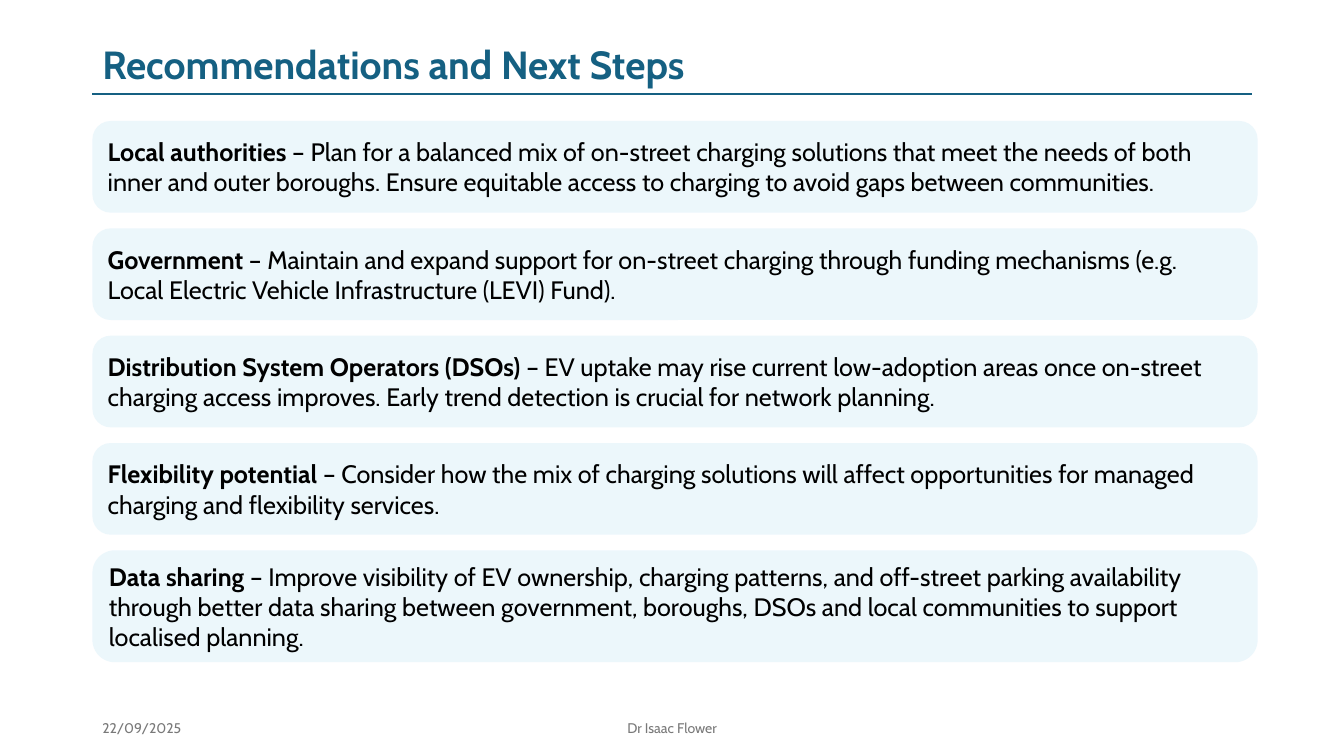
from dataclasses import dataclass

from lxml import etree
from pptx import Presentation
from pptx import util as u
from pptx.dml import color as clr
from pptx.enum import shapes, text
from pptx.oxml import ns

HUES = {"title": "156082", "card": "C1E5F5", "body": "000000", "foot": "797979"}
FONT = "Cabin"
WIDE, HIGH = u.Inches(13.33), u.Inches(7.5)
COLS, ROWS = 160, 90
LEFT, TOP, GAP = 11, 14.4, 1.86


@dataclass
class Box:
    col: float
    row: float
    cols: float
    rows: float


@dataclass
class Card:
    head: str
    body: str
    rows: float = 10.92


CARDS = [
    Card("Local authorities ", "– Plan for a balanced mix of on-street charging solutions that meet the "
         "needs of both inner and outer boroughs. Ensure equitable access to charging to avoid gaps "
         "between communities."),
    Card("Government ", "– Maintain and expand support for on-street charging through funding "
         "mechanisms (e.g. Local Electric Vehicle Infrastructure (LEVI) Fund)."),
    Card("Distribution System Operators (DSOs) ", "– EV uptake may rise current low-adoption areas "
         "once on-street charging access improves. Early trend detection is crucial for network planning."),
    Card("Flexibility potential ", "– Consider how the mix of charging solutions will affect "
         "opportunities for managed charging and flexibility services."),
    Card("Data sharing ", "– Improve visibility of EV ownership, charging patterns, and off-street "
         "parking availability through better data sharing between government, boroughs, DSOs and "
         "local communities to support localised planning.", 13.32),
]


def across(cols: float) -> int:
    return int(WIDE * cols / COLS)


def down(rows: float) -> int:
    return int(HIGH * rows / ROWS)


def place(box: Box) -> tuple[int, int, int, int]:
    return across(box.col), down(box.row), across(box.cols), down(box.rows)


def tint(hue: str) -> clr.RGBColor:
    return clr.RGBColor.from_string(HUES[hue])


def write(para, words: str, *, size: float, hue: str, bold: bool = False) -> None:
    run = para.add_run()
    run.text = words
    run.font.name = FONT
    run.font.size = u.Pt(size)
    run.font.bold = bold
    run.font.color.rgb = tint(hue)


def setup(frame, align=text.PP_ALIGN.LEFT):
    frame.word_wrap = True
    frame.vertical_anchor = text.MSO_ANCHOR.MIDDLE
    para = frame.paragraphs[0]
    para.alignment = align
    return para


def label(slide, box: Box, words: str, align=text.PP_ALIGN.LEFT, space: float = 1.0, **form) -> None:
    para = setup(slide.shapes.add_textbox(*place(box)).text_frame, align)
    para.line_spacing = space
    write(para, words, **form)


def rule(slide, col: float, row: float, cols: float) -> None:
    line = slide.shapes.add_connector(
        shapes.MSO_CONNECTOR.STRAIGHT, across(col), down(row), across(col + cols), down(row))
    line.line.color.rgb = tint("title")
    line.line.width = u.Pt(1.5)
    etree.SubElement(line._element.spPr, ns.qn("a:effectLst"))


def panel(slide, card: Card, row: float) -> None:
    box = Box(LEFT, row, 138.72, card.rows)
    shape = slide.shapes.add_shape(shapes.MSO_SHAPE.ROUNDED_RECTANGLE, *place(box))
    shape.adjustments[0] = 0.2
    shape.shadow.inherit = False
    shape.fill.solid()
    shape.fill.fore_color.rgb = tint("card")
    shade = shape._element.spPr.find(".//" + ns.qn("a:srgbClr"))
    etree.SubElement(shade, ns.qn("a:alpha"), val="30000")
    shape.line.fill.background()
    frame = shape.text_frame
    frame.margin_left = frame.margin_top = frame.margin_bottom = u.Inches(0.1)
    frame.margin_right = u.Inches(0.3)
    para = setup(frame)
    para.space_after = u.Pt(6)
    write(para, card.head, size=18, hue="body", bold=True)
    write(para, card.body, size=18, hue="body")


def main() -> None:
    deck = Presentation()
    deck.slide_width, deck.slide_height = WIDE, HIGH
    slide = deck.slides.add_slide(deck.slide_layouts[6])
    label(slide, Box(LEFT, 4.8, 138, 6.36), "Recommendations and Next Steps",
          space=0.9, size=28, hue="title", bold=True)
    rule(slide, LEFT, 11.16, 138)
    row = TOP
    for card in CARDS:
        panel(slide, card, row)
        row += card.rows + GAP
    label(slide, Box(LEFT, 84.24, 36, 4.8), "22/09/2025", size=10, hue="foot")
    label(slide, Box(53, 84.24, 54, 4.8), "Dr Isaac Flower",
          align=text.PP_ALIGN.CENTER, size=10, hue="foot")
    deck.save("out.pptx")


if __name__ == "__main__":
    main()
